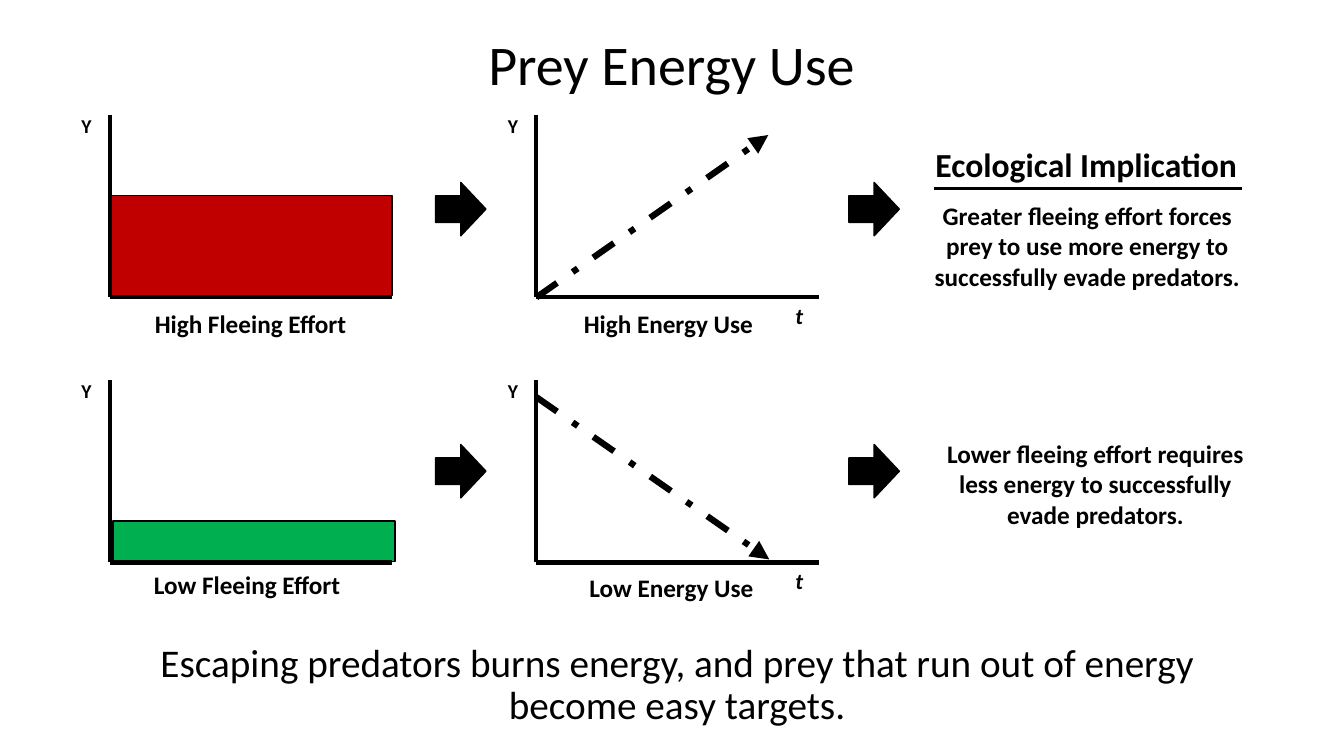
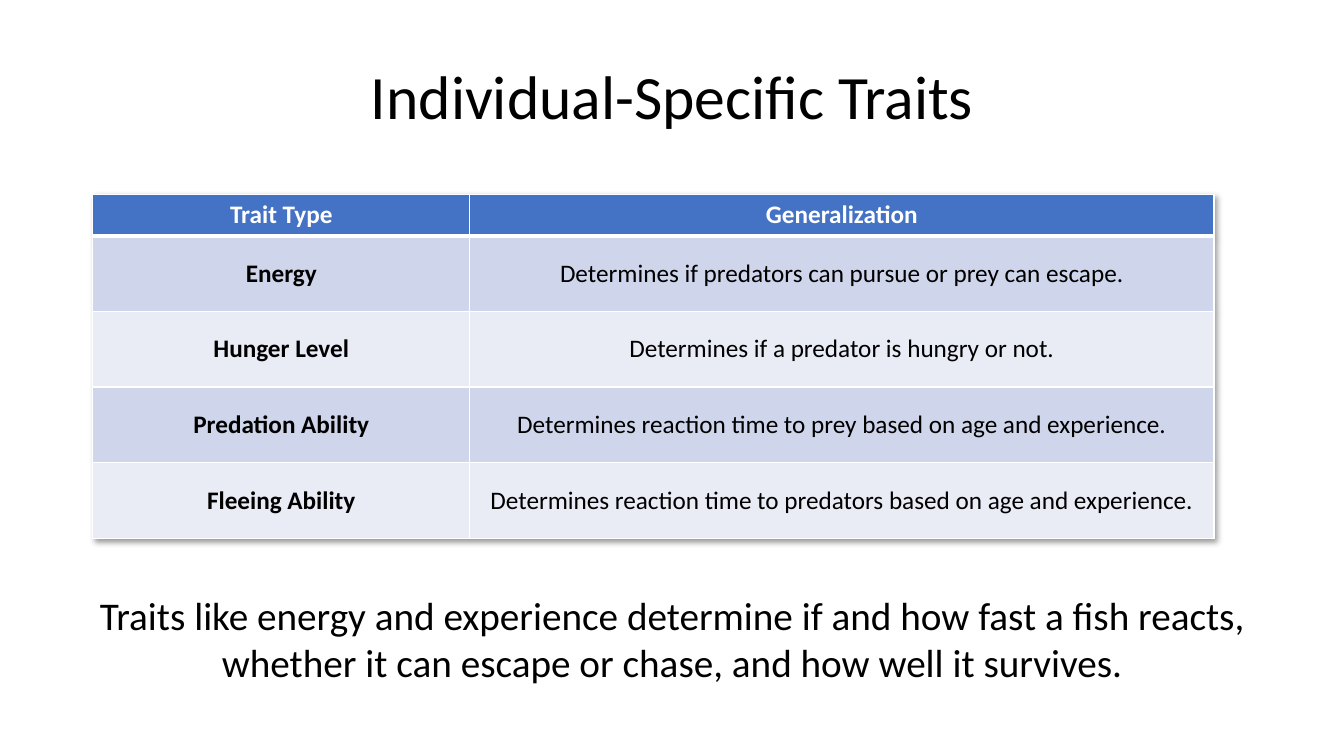
import pptx
import pptx.util
import pptx.dml.color
import pptx.enum.dml
import pptx.enum.shapes
import pptx.enum.text
import pptx.oxml
import pptx.oxml.ns

EMU_PER_PX = 9144  # 100 px to the inch
FONT = "Calibri"
BLACK, WHITE = "000000", "FFFFFF"
RED, GREEN = "C00000", "00B050"
HEADER_BLUE, BANDS = "4472C4", ("CFD5EA", "E9EBF5")
BODY_SIZE, MESSAGE_SIZE = 18, 28
CENTER = pptx.enum.text.PP_ALIGN.CENTER
LEFT = pptx.enum.text.PP_ALIGN.LEFT
MIDDLE = pptx.enum.text.MSO_ANCHOR.MIDDLE
SHAPES = pptx.enum.shapes.MSO_SHAPE
DASH_DOT = pptx.enum.dml.MSO_LINE.DASH_DOT

TABLE_SHADOW = (
    '<a:effectLst %s><a:outerShdw blurRad="50800" dist="38100" dir="2700000"'
    ' algn="tl" rotWithShape="0"><a:prstClr val="black"><a:alpha val="40000"/>'
    '</a:prstClr></a:outerShdw></a:effectLst>' % pptx.oxml.ns.nsdecls("a"))


def px(*lengths):
    return [pptx.util.Emu(length * EMU_PER_PX) for length in lengths]


def color(hex_string):
    return pptx.dml.color.RGBColor.from_string(hex_string)


def paint(fill, hex_string):
    fill.solid()
    fill.fore_color.rgb = color(hex_string)


def add_xml(parent, tag, **attributes):
    child = parent.makeelement(pptx.oxml.ns.qn(tag), attributes)
    parent.append(child)
    return child


class Deck:
    def __init__(self, width, height):
        self.deck = pptx.Presentation()
        self.deck.slide_width, self.deck.slide_height = px(width, height)
        self.page = None

    def new_page(self):
        self.page = self.deck.slides.add_slide(self.deck.slide_layouts[6])

    def style(self, para, text, size, bold=False, italic=False, ink=BLACK, align=CENTER):
        para.text = text
        para.alignment = align
        font = para.font
        font.name, font.size = FONT, pptx.util.Pt(size)
        font.bold, font.italic = bold, italic
        font.color.rgb = color(ink)

    def text(self, at, text, size=BODY_SIZE, wrap=True, **look):
        """Add a text box that grows with its text."""
        box = self.page.shapes.add_textbox(*px(*at))
        frame = box.text_frame
        frame.word_wrap = wrap
        frame.auto_size = pptx.enum.text.MSO_AUTO_SIZE.SHAPE_TO_FIT_TEXT
        self.style(frame.paragraphs[0], text, size, **look)
        return frame

    def title(self, at, text, size):
        frame = self.text(at, text, size)
        frame.auto_size = pptx.enum.text.MSO_AUTO_SIZE.NONE
        frame.vertical_anchor = MIDDLE
        frame.paragraphs[0].line_spacing = 0.9

    def shape(self, kind, at, fill):
        shape = self.page.shapes.add_shape(kind, *px(*at))
        shape.shadow.inherit = False
        paint(shape.fill, fill)
        shape.line.color.rgb = color(BLACK)
        shape.line.width = pptx.util.Pt(1)

    def line(self, start, end, width=3, dash=None, arrow=False):
        line = self.page.shapes.add_connector(
            pptx.enum.shapes.MSO_CONNECTOR.STRAIGHT, *px(*start, *end))
        line.line.color.rgb = color(BLACK)
        line.line.width = pptx.util.Pt(width)
        if dash:
            line.line.dash_style = dash
        if arrow:
            add_xml(line.line._get_or_add_ln(), "a:tailEnd", type="triangle")
        add_xml(line._element.spPr, "a:effectLst")

    def axes(self, left, bottom):
        for end in ((left, bottom - 181), (left + 280, bottom)):
            self.line((left, bottom), end)
        self.text((left - 38, bottom - 187, 64, 45), "Y", 14,
                  wrap=False, bold=True, align=LEFT)

    def cell_borders(self, cell, top, bottom):
        properties = cell._tc.get_or_add_tcPr()
        for side, points in (("L", 1), ("R", 1), ("T", top), ("B", bottom)):
            border = add_xml(properties, "a:ln" + side, w=str(pptx.util.Pt(points)))
            add_xml(add_xml(border, "a:solidFill"), "a:srgbClr", val=WHITE)

    def table(self, at, columns, heights, rows):
        """Add a table with a header row, bold first column and banded rows."""
        table = self.page.shapes.add_table(len(rows), len(columns), *px(*at)).table
        table._tbl.tblPr.insert(0, pptx.oxml.parse_xml(TABLE_SHADOW))
        for column, width in zip(table.columns, px(*columns)):
            column.width = width
        for row, height in zip(table.rows, px(*heights)):
            row.height = height
        for r, texts in enumerate(rows):
            header = r == 0
            for c, text in enumerate(texts):
                cell = table.cell(r, c)
                cell.vertical_anchor = MIDDLE
                self.cell_borders(cell, 3 if r == 1 else 1, 3 if header else 1)
                paint(cell.fill, HEADER_BLUE if header else BANDS[(r - 1) % 2])
                self.style(cell.text_frame.paragraphs[0], text, BODY_SIZE,
                           bold=header or c == 0, ink=WHITE if header else BLACK)


def effort_case(deck, bottom, arrow_top, bar, bar_color, trend, captions):
    """Draw one row: effort bar, energy trend and what follows from them."""
    effort_left, energy_left = 109, 532
    deck.shape(SHAPES.RECTANGLE, bar, bar_color)
    deck.axes(effort_left, bottom)
    deck.axes(energy_left, bottom)
    deck.text((779, bottom, 28, 37), "t", 16, wrap=False,
              bold=True, italic=True, align=LEFT)
    deck.line(*trend, width=4.5, dash=DASH_DOT, arrow=True)
    for left in (432, 842):
        deck.shape(SHAPES.RIGHT_ARROW, (left, arrow_top, 50, 53), BLACK)
    for at, text in captions:
        deck.text(at, text, bold=True)


def energy_page(deck):
    deck.new_page()
    deck.title((48, -6, 1236, 145), "Prey Energy Use", 40)
    deck.text((918, 138, 322, 50), "Ecological Implication", 24,
              wrap=False, bold=True, align=LEFT)
    deck.line((926, 187), (1232, 187), width=2.25)
    effort_case(
        deck, 295, 181, (109, 194, 280, 99), RED, ((532, 295), (762, 134)),
        [((32, 301, 433, 40), "High Fleeing Effort"),
         ((523, 301, 280, 40), "High Energy Use"),
         ((910, 194, 337, 101), "Greater fleeing effort forces prey to use more "
                                "energy to successfully evade predators.")])
    effort_case(
        deck, 558, 441, (112, 517, 280, 40), GREEN, ((532, 394), (763, 555)),
        [((134, 560, 222, 40), "Low Fleeing Effort"),
         ((536, 563, 260, 40), "Low Energy Use"),
         ((918, 430, 337, 101), "Lower fleeing effort requires less energy to "
                                "successfully evade predators.")])
    deck.title((85, 608, 1173, 145), "Escaping predators burns energy, and prey "
               "that run out of energy become easy targets.", MESSAGE_SIZE)


def traits_page(deck):
    deck.new_page()
    deck.title((92, 26, 1150, 145), "Individual-Specific Traits", 44)
    deck.table((92, 193, 1112, 341), (374, 738), [41] + [75] * 4, [
        ("Trait Type", "Generalization"),
        ("Energy", "Determines if predators can pursue or prey can escape."),
        ("Hunger Level", "Determines if a predator is hungry or not."),
        ("Predation Ability",
         "Determines reaction time to prey based on age and experience."),
        ("Fleeing Ability",
         "Determines reaction time to predators based on age and experience.")])
    deck.text((55, 582, 1223, 104), "Traits like energy and experience determine if "
              "and how fast a fish reacts, whether it can escape or chase, and how "
              "well it survives.", MESSAGE_SIZE)


def main():
    deck = Deck(1333, 750)
    energy_page(deck)
    traits_page(deck)
    deck.deck.save("out.pptx")


if __name__ == "__main__":
    main()
